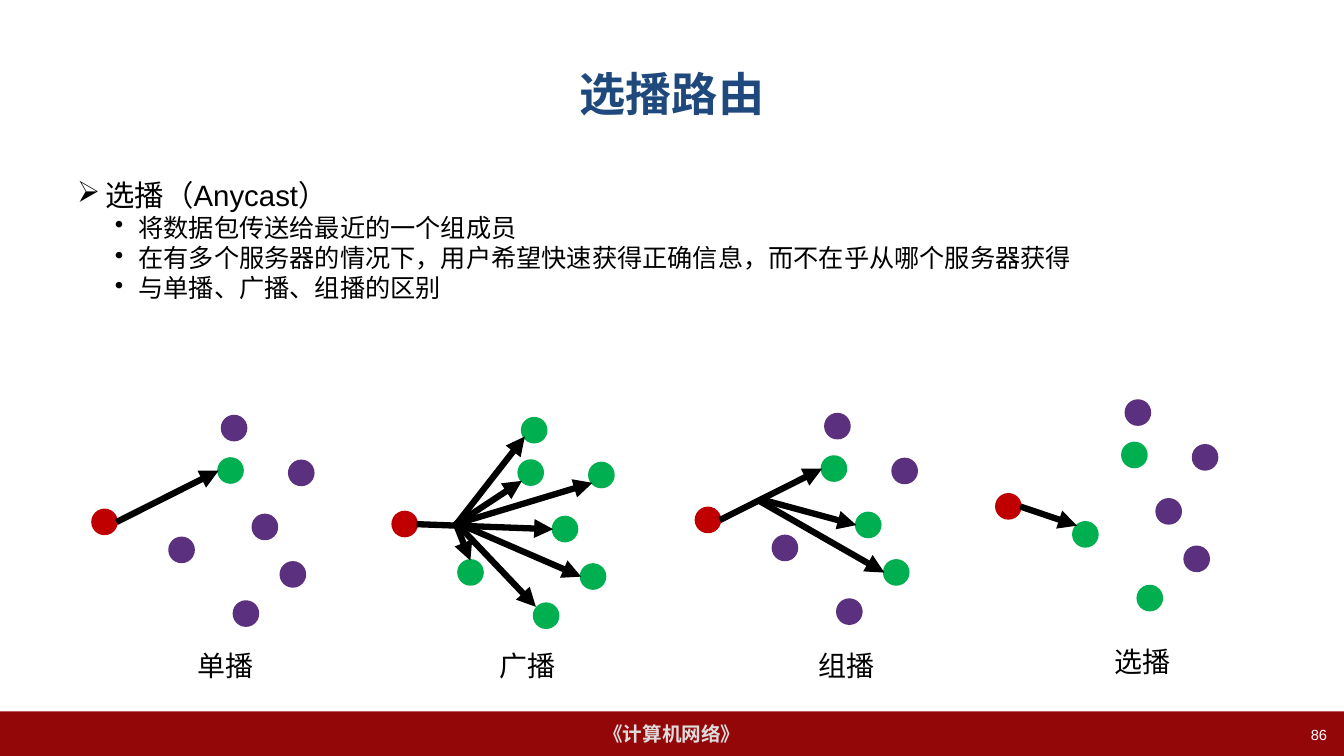
import dataclasses
import typing

import lxml.etree
import pptx
import pptx.dml.color
import pptx.enum.shapes
import pptx.enum.text
import pptx.oxml.ns
import pptx.util

Pt = pptx.util.Pt
qn = pptx.oxml.ns.qn
Align = pptx.enum.text.PP_ALIGN
Anchor = pptx.enum.text.MSO_ANCHOR
Shape = pptx.enum.shapes.MSO_SHAPE
Point = tuple[float, float]

COLOURS = {
    "title": "1F497D", "text": "000000", "bar": "940709",
    "course": "DDDDDD", "page": "FFFFFF",
    "sender": "C00000", "receiver": "00B050", "other": "5B307E",
}
CJK_FONT = "Noto Sans CJK SC"
DOT = 17

# Host positions relative to the sender, shared by all four diagrams
HOSTS = {
    "top": (92.5, -67), "right": (140.5, -35), "middle": (114.5, 3.6),
    "near": (55, 20), "lower": (134.5, 37.5), "bottom": (101, 65.5),
    "upper": (90, -36.7),
}
SENDER_EDGE = (DOT, 8.6)


@dataclasses.dataclass
class Bullet:
    text: str
    level: int
    size: float
    symbol: str
    margin: float
    indent: float


@dataclasses.dataclass
class Diagram:
    name: str
    origin: Point
    label: Point
    receivers: set[str]
    arrows: list[tuple[Point, Point]]  # relative to origin
    moved: dict[str, Point] = dataclasses.field(default_factory=dict)


BULLETS = [
    Bullet("选播（Anycast）", 0, 21, "➢", 20.25, -20.25),
    *[Bullet(text, 1, 18, "•", 43.9, -16.9) for text in (
        "将数据包传送给最近的一个组成员",
        "在有多个服务器的情况下，用户希望快速获得正确信息，而不在乎从哪个服务器获得",
        "与单播、广播、组播的区别",
    )],
]

DIAGRAMS = [
    Diagram("单播", (66.2, 364.3), (131, 460), {"upper"},
            [(SENDER_EDGE, (90, -28.1))]),
    Diagram("广播", (280.6, 365.8), (347, 460), set(HOSTS), [
        (SENDER_EDGE, (114.5, 12.2)),
        ((45.4, 8.6), (94.3, -54)),
        ((43.2, 10), (92.2, -22.3)),
        ((46.8, 8), (142.6, -20.9)),
        ((49.7, 9.4), (134.5, 46.1)),
        ((46.8, 9.4), (102.2, 67.7)),
        ((45.4, 9.4), (55.4, 34.6)),
    ], {"near": (47, 34.6)}),
    Diagram("组播", (497.2, 362.9), (574.6, 460), {"upper", "middle", "lower"}, [
        (SENDER_EDGE, (90, -28.1)),
        ((43.9, -5.8), (134.5, 46.1)),
        ((45.4, -6.5), (114.5, 12.2)),
    ]),
    Diagram("选播", (711.8, 353.2), (786.2, 456.5), {"upper", "near", "bottom"},
            [(SENDER_EDGE, (57.6, 22.3))]),
]


def rgb(name: str) -> pptx.dml.color.RGBColor:
    return pptx.dml.color.RGBColor.from_string(COLOURS[name])


def write(para: typing.Any, text: str, colour: str,
          align: typing.Any = Align.LEFT, **formats: typing.Any) -> None:
    para.alignment = align
    span = para.add_run()
    span.text = text
    for key, value in {"name": "Arial", **formats}.items():
        setattr(span.font, key, value)
    span.font.color.rgb = rgb(colour)
    east_asian = lxml.etree.SubElement(span._r.get_or_add_rPr(), qn("a:ea"))
    east_asian.set("typeface", CJK_FONT)


def add_box(shapes: typing.Any, left: float, top: float,
            width: float, height: float) -> typing.Any:
    box = shapes.add_textbox(Pt(left), Pt(top), Pt(width), Pt(height))
    box.text_frame.word_wrap = True
    return box


def add_filled(shapes: typing.Any, kind: typing.Any, colour: str, left: float,
               top: float, width: float, height: float) -> typing.Any:
    shape = shapes.add_shape(kind, Pt(left), Pt(top), Pt(width), Pt(height))
    shape.shadow.inherit = False
    shape.fill.solid()
    shape.fill.fore_color.rgb = rgb(colour)
    shape.line.fill.background()
    return shape


def add_dot(shapes: typing.Any, left: float, top: float, colour: str) -> None:
    dot = add_filled(shapes, Shape.OVAL, colour, left, top, DOT, DOT)
    dot.line.color.rgb = rgb(colour)
    dot.line.width = Pt(2)


def add_arrow(shapes: typing.Any, start: Point, end: Point) -> None:
    arrow = shapes.add_connector(
        pptx.enum.shapes.MSO_CONNECTOR.STRAIGHT, *map(Pt, start + end))
    arrow.line.color.rgb = rgb("text")
    arrow.line.width = Pt(4.5)
    properties = arrow.element.spPr
    head = lxml.etree.SubElement(properties.find(qn("a:ln")), qn("a:tailEnd"))
    head.set("type", "triangle")
    lxml.etree.SubElement(properties, qn("a:effectLst"))


def add_diagram(page: typing.Any, diagram: Diagram) -> None:
    shapes = page.shapes.add_group_shape().shapes
    left, top = diagram.origin
    add_dot(shapes, left, top, "sender")
    for host, (x, y) in {**HOSTS, **diagram.moved}.items():
        colour = "receiver" if host in diagram.receivers else "other"
        add_dot(shapes, left + x, top + y, colour)
    for (x1, y1), (x2, y2) in diagram.arrows:
        add_arrow(shapes, (left + x1, top + y1), (left + x2, top + y2))
    label = add_box(shapes, *diagram.label, 60, 31.5)
    write(label.text_frame.paragraphs[0], diagram.name, "text", Align.CENTER,
          name=CJK_FONT, size=Pt(20))


def add_bullets(page: typing.Any) -> None:
    frame = add_box(page.shapes, 48, 126, 864, 356).text_frame
    for index, bullet in enumerate(BULLETS):
        para = frame.add_paragraph() if index else frame.paragraphs[0]
        formats = {"level": bullet.level, "line_spacing": 0.9,
                   "space_before": Pt(2 if index else 0)}
        for key, value in formats.items():
            setattr(para, key, value)
        properties = para._p.get_or_add_pPr()
        properties.set("marL", str(Pt(bullet.margin)))
        properties.set("indent", str(Pt(bullet.indent)))
        mark = lxml.etree.SubElement(properties, qn("a:buChar"))
        mark.set("char", bullet.symbol)
        write(para, bullet.text, "text", size=Pt(bullet.size))


def main() -> None:
    deck = pptx.Presentation()
    deck.slide_width, deck.slide_height = Pt(960), Pt(540)
    page = deck.slides.add_slide(deck.slide_layouts[5])

    # Title
    title = page.shapes.title
    place = {"left": 48, "top": 21.6, "width": 864, "height": 90}
    for key, value in place.items():
        setattr(title, key, Pt(value))
    title.text_frame.vertical_anchor = Anchor.MIDDLE
    write(title.text_frame.paragraphs[0], "选播路由", "title", Align.CENTER,
          size=Pt(33), bold=True)

    # Footer bar and page number
    bar = add_filled(page.shapes, Shape.RECTANGLE, "bar", 0, 508.2, 960, 31.8)
    bar.text_frame.word_wrap = False
    bar.text_frame.vertical_anchor = Anchor.MIDDLE
    write(bar.text_frame.paragraphs[0], "《计算机网络》", "course", Align.CENTER,
          size=Pt(14), bold=True)
    number = add_box(page.shapes, 731, 515, 224, 25)
    write(number.text_frame.paragraphs[0], "86", "page", Align.RIGHT, size=Pt(10.5))

    # Bullets and diagrams
    add_bullets(page)
    for diagram in DIAGRAMS:
        add_diagram(page, diagram)

    deck.save("out.pptx")


if __name__ == "__main__":
    main()
